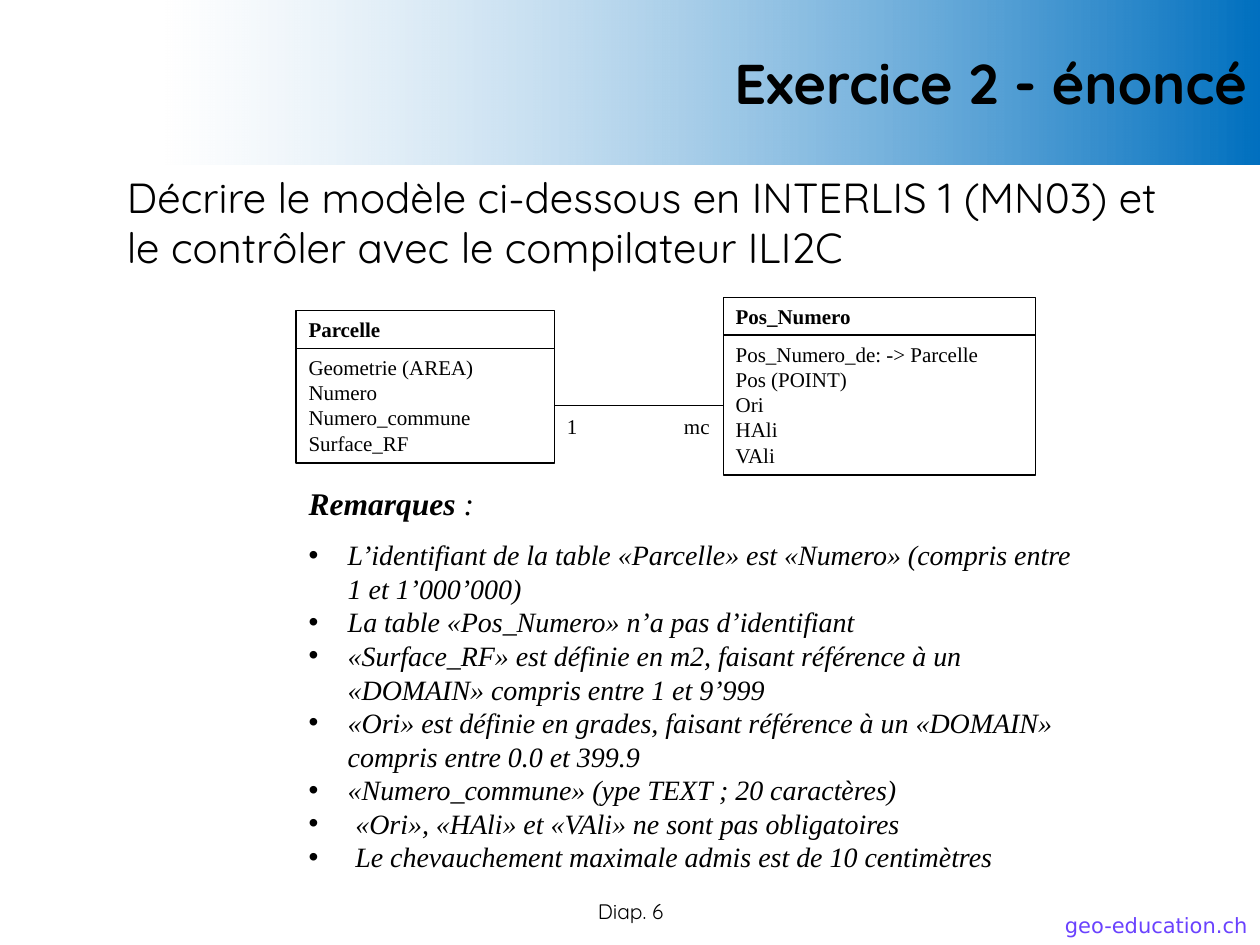
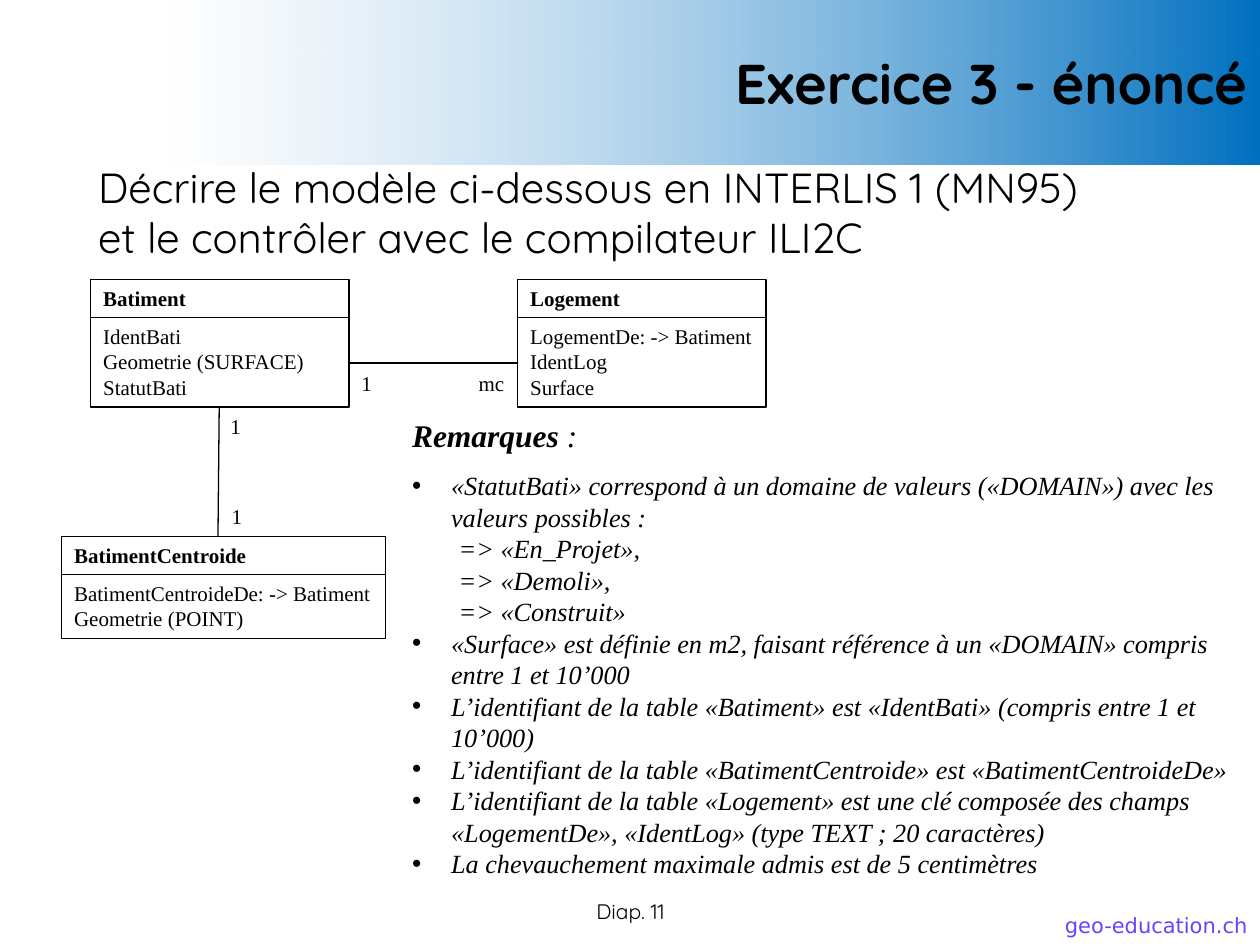
from dataclasses import dataclass

from lxml import etree
from pptx import Presentation
from pptx import util as u
from pptx.dml.color import RGBColor
from pptx.enum import shapes, text
from pptx.oxml import ns


@dataclass(frozen=True)
class Theme:
    ink: RGBColor = RGBColor(0, 0, 0)
    band_start: RGBColor = RGBColor(255, 255, 255)
    band_end: RGBColor = RGBColor.from_string("0070C0")
    site: RGBColor = RGBColor.from_string("6A42FE")
    main_font: str = "Quicksand"
    note_font: str = "Times New Roman"
    site_font: str = "DejaVu Sans"
    title_size: int = 32
    task_size: int = 24
    heading_size: int = 18
    small_size: int = 12
    line_width: float = 0.75


@dataclass(frozen=True)
class Remark:
    words: str
    bullet: bool = True
    indent: float = 0.31


THEME = Theme()
CELL = u.Inches(0.1)  # the slide is a grid of 100 columns by 75 rows
WIDE_INDENT = 0.37
HEADER_ROWS = 3
LEFT, CENTER, RIGHT = text.PP_ALIGN.LEFT, text.PP_ALIGN.CENTER, text.PP_ALIGN.RIGHT


def grid(*cells):
    return [round(cell * CELL) for cell in cells]


def place(shape, *cells):
    shape.left, shape.top, shape.width, shape.height = grid(*cells)


def style(para, font, size, color=THEME.ink, align=LEFT, bold=False, italic=False):
    para.alignment = align
    para.font.name = font
    para.font.size = u.Pt(size)
    para.font.bold = bold
    para.font.italic = italic
    para.font.color.rgb = color


def write(frame, lines, font, size, **look):
    """Fill a text frame with equally styled paragraphs."""
    frame.word_wrap = True
    frame.vertical_anchor = text.MSO_ANCHOR.TOP
    for index, line in enumerate(lines):
        para = frame.add_paragraph() if index else frame.paragraphs[0]
        para.text = line
        style(para, font, size, **look)


def add_text(page, cells, lines, font, size, **look):
    box = page.shapes.add_textbox(*grid(*cells))
    write(box.text_frame, lines, font, size, **look)
    return box


# Shared page: title band, task, slide number and site
def add_page(deck, title, number, task, task_left, task_top):
    page = deck.slides.add_slide(deck.slide_layouts[1])
    band = page.shapes.title
    place(band, 13.1, 0, 86.9, 13.1)
    band.fill.gradient()
    band.fill.gradient_angle = 0
    for stop, color in zip(band.fill.gradient_stops, (THEME.band_start, THEME.band_end)):
        stop.color.rgb = color
    start_color = next(band._element.iter(ns.qn("a:srgbClr")))
    etree.SubElement(start_color, ns.qn("a:alpha"), val="46000")
    write(band.text_frame, [title], THEME.main_font, THEME.title_size, align=RIGHT, bold=True)
    band.text_frame.vertical_anchor = text.MSO_ANCHOR.MIDDLE
    band.text_frame.auto_size = text.MSO_AUTO_SIZE.NONE

    add_text(page, (task_left, task_top, 85, 9.1), task, THEME.main_font, THEME.task_size)
    add_text(page, (28, 70.8, 44.1, 3.9), [f"Diap. {number}"],
             THEME.main_font, THEME.small_size, align=CENTER)
    add_text(page, (81.5, 71.9, 18.5, 3), ["geo-education.ch"],
             THEME.site_font, THEME.small_size, color=THEME.site, align=RIGHT)
    return page


# Remarks list
def set_bullet(para, bullet, indent):
    props = para._p.get_or_add_pPr()
    props.set("marL", str(u.Inches(indent)))
    props.set("indent", str(-u.Inches(indent) if bullet else 0))
    if bullet:
        etree.SubElement(props, ns.qn("a:buChar"), char="•")
    else:
        etree.SubElement(props, ns.qn("a:buNone"))


def add_remarks(page, left, top, width, size, remarks):
    body = page.placeholders[1]
    place(body, left, top, width, 71 - top)
    frame = body.text_frame
    frame.word_wrap = True
    frame.auto_size = text.MSO_AUTO_SIZE.NONE

    heading = frame.paragraphs[0]
    set_bullet(heading, False, 0)
    heading.space_before, heading.space_after = u.Pt(0), u.Pt(9.2)
    for words, bold in (("Remarques", True), (" :", False)):
        span = heading.add_run()
        span.text = words
        span.font.bold = bold
    style(heading, THEME.note_font, THEME.heading_size, italic=True)

    for remark in remarks:
        para = frame.add_paragraph()
        para.text = remark.words
        set_bullet(para, remark.bullet, remark.indent)
        para.space_before = u.Pt(0)
        style(para, THEME.note_font, size, italic=True)


# Class diagram
def add_compartment(page, cells, lines, bold=False):
    box = page.shapes.add_shape(shapes.MSO_SHAPE.RECTANGLE, *grid(*cells))
    box.shadow.inherit = False
    box.fill.background()
    box.line.color.rgb = THEME.ink
    box.line.width = u.Pt(THEME.line_width)
    box.text_frame.margin_right = 0
    write(box.text_frame, lines, THEME.note_font, THEME.small_size, bold=bold)


def add_class(page, left, top, width, name, attributes):
    body_rows = 1.1 + 2 * len(attributes)
    add_compartment(page, (left, top + HEADER_ROWS, width, body_rows), attributes)
    add_compartment(page, (left, top, width, HEADER_ROWS), [name], bold=True)


def add_link(page, start, end):
    link = page.shapes.add_connector(shapes.MSO_CONNECTOR.STRAIGHT, *grid(*start, *end))
    link.line.color.rgb = THEME.ink
    link.line.width = u.Pt(THEME.line_width)
    etree.SubElement(link._element.spPr, ns.qn("a:effectLst"))


def add_cardinality(page, left, top, words):
    box = add_text(page, (left, top, 4.1, 3), [words], THEME.note_font, THEME.small_size)
    box.text_frame.margin_right = 0


def add_one_to_many(page, left, right, row):
    add_link(page, (left, row), (right, row))
    add_cardinality(page, left, row + 0.1, "1")
    add_cardinality(page, right - 4.1, row + 0.1, "mc")


# Slides
def add_parcel_exercise(deck):
    page = add_page(deck, "Exercice 2 - énoncé", 6, [
        "Décrire le modèle ci-dessous en INTERLIS 1 (MN03) et "
        "le contrôler avec le compilateur ILI2C"], 9.1, 13.1)
    add_remarks(page, 23.5, 37.9, 63, 16, [
        Remark("L’identifiant de la table «Parcelle» est «Numero» (compris entre 1 et 1’000’000)"),
        Remark("La table «Pos_Numero» n’a pas d’identifiant"),
        Remark("«Surface_RF» est définie en m2, faisant référence à un "
               "«DOMAIN» compris entre 1 et 9’999"),
        Remark("«Ori» est définie en grades, faisant référence à un "
               "«DOMAIN» compris entre 0.0 et 399.9"),
        Remark("«Numero_commune» (ype TEXT ; 20 caractères)"),
        Remark("«Ori», «HAli» et «VAli» ne sont pas obligatoires", indent=WIDE_INDENT),
        Remark("Le chevauchement maximale admis est de 10 centimètres", indent=WIDE_INDENT),
    ])
    add_class(page, 23.5, 24.65, 20.5, "Parcelle",
              ["Geometrie (AREA)", "Numero", "Numero_commune", "Surface_RF"])
    add_class(page, 57.4, 23.6, 24.8, "Pos_Numero",
              ["Pos_Numero_de: -> Parcelle", "Pos (POINT)", "Ori", "HAli", "VAli"])
    add_one_to_many(page, 44, 57.4, 32.2)


def add_building_exercise(deck):
    page = add_page(deck, "Exercice 3 - énoncé", 11, [
        "Décrire le modèle ci-dessous en INTERLIS 1 (MN95)",
        "et le contrôler avec le compilateur ILI2C"], 6.8, 12.3)
    states = ["=> «En_Projet»,", "=> «Demoli»,", "=> «Construit»"]
    add_remarks(page, 31.7, 32.5, 67.3, 15, [
        Remark("«StatutBati» correspond à un domaine de valeurs («DOMAIN») "
               "avec les valeurs possibles :"),
        *[Remark(state, bullet=False, indent=WIDE_INDENT) for state in states],
        Remark("«Surface» est définie en m2, faisant référence à un "
               "«DOMAIN» compris entre 1 et 10’000"),
        Remark("L’identifiant de la table «Batiment» est «IdentBati» (compris entre 1 et 10’000)"),
        Remark("L’identifiant de la table «BatimentCentroide» est «BatimentCentroideDe»"),
        Remark("L’identifiant de la table «Logement» est une clé composée des champs "
               "«LogementDe», «IdentLog» (type TEXT ; 20 caractères)"),
        Remark("La chevauchement maximale admis est de 5 centimètres"),
    ])
    add_class(page, 7.2, 22.2, 20.5, "Batiment",
              ["IdentBati", "Geometrie (SURFACE)", "StatutBati"])
    add_class(page, 41.1, 22.2, 19.7, "Logement",
              ["LogementDe: -> Batiment", "IdentLog", "Surface"])
    add_class(page, 4.9, 42.6, 25.7, "BatimentCentroide",
              ["BatimentCentroideDe: -> Batiment", "Geometrie (POINT)"])
    add_one_to_many(page, 27.7, 41.1, 28.8)
    add_link(page, (17.4, 32.3), (17.3, 42.6))
    add_cardinality(page, 17.3, 32.3, "1")
    add_cardinality(page, 17.4, 39.5, "1")


def main():
    deck = Presentation()
    deck.slide_width, deck.slide_height = grid(100, 75)
    add_parcel_exercise(deck)
    add_building_exercise(deck)
    deck.save("out.pptx")


if __name__ == "__main__":
    main()
